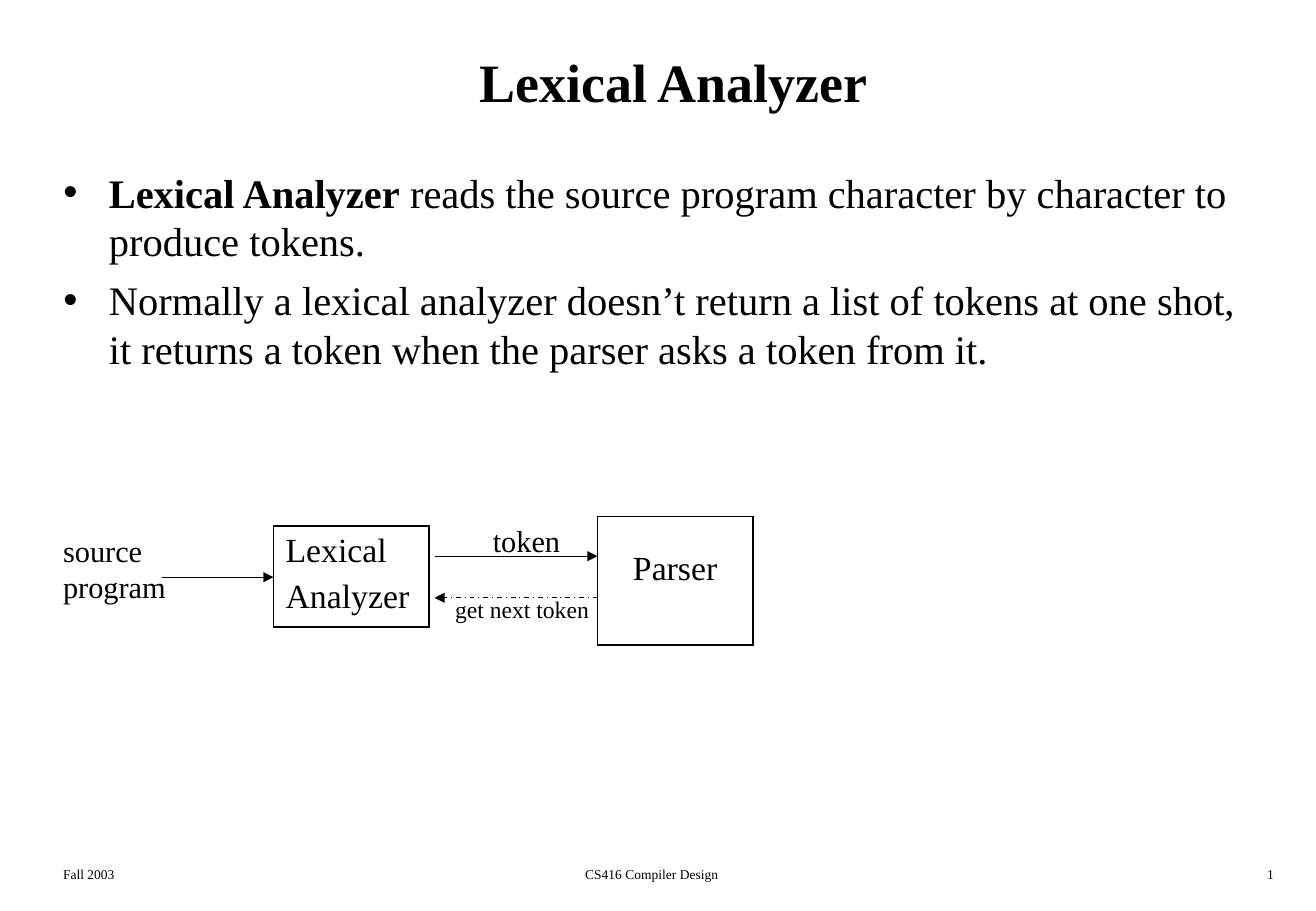
from dataclasses import dataclass

from lxml.etree import SubElement
from pptx import Presentation
from pptx.dml.color import RGBColor
from pptx.enum.dml import MSO_LINE
from pptx.enum.shapes import MSO_CONNECTOR
from pptx.enum.text import MSO_ANCHOR, MSO_AUTO_SIZE, PP_ALIGN
from pptx.oxml.ns import qn
from pptx.util import Cm, Pt


@dataclass(frozen=True)
class Theme:
    font: str = "Times New Roman"
    ink: RGBColor = RGBColor(0, 0, 0)
    title: int = 32
    body: int = 24
    block: int = 20
    label: int = 18
    request: int = 14
    footer: int = 8
    arrow_width: float = 0.75
    border_width: float = 1.08


theme = Theme()


def write(frame, paragraphs, size, align=PP_ALIGN.LEFT, gap=0):
    """Fill a text frame; each paragraph is a list of (text, bold) runs."""
    for index, runs in enumerate(paragraphs):
        para = frame.paragraphs[0] if index == 0 else frame.add_paragraph()
        para.alignment = align
        para.space_before = Pt(gap if index else 0)
        para.font.name = theme.font
        para.font.size = Pt(size)
        para.font.color.rgb = theme.ink
        for text, bold in runs:
            span = para.add_run()
            span.text = text
            span.font.bold = bold


deck = Presentation()
deck.slide_width, deck.slide_height = Cm(27.53), Cm(19.05)
page = deck.slides.add_slide(deck.slide_layouts[1])

# Title and bullets
title, body = page.placeholders
for holder, top, height in ((title, 0.43, 2.54), (body, 3.38, 14.17)):
    holder.left, holder.top = Cm(1.07), Cm(top)
    holder.width, holder.height = Cm(26.04), Cm(height)
    holder.text_frame.auto_size = MSO_AUTO_SIZE.NONE

title.text_frame.vertical_anchor = MSO_ANCHOR.MIDDLE
write(title.text_frame, [[("Lexical Analyzer", True)]], theme.title, PP_ALIGN.CENTER)

body.text_frame.margin_right = Cm(0.8)
bullets = [
    [("Lexical Analyzer", True),
     (" reads the source program character by character to produce tokens.", False)],
    [("Normally a lexical analyzer doesn’t return a list of tokens at one shot, "
      "it returns a token when the parser asks a token from it.", False)],
]
write(body.text_frame, bullets, theme.body, gap=6)

# Compiler stages: left, top, height, top margin, lines, alignment
stages = [
    (5.72, 11, 2.11, 0.13, ["Lexical", "Analyzer"], PP_ALIGN.LEFT),
    (12.5, 10.8, 2.69, 0.7, ["Parser"], PP_ALIGN.CENTER),
]
for left, top, height, margin, lines, align in stages:
    table = page.shapes.add_table(1, 1, Cm(left), Cm(top), Cm(3.25), Cm(height)).table
    table.first_row = table.horz_banding = False
    cell = table.cell(0, 0)
    cell.margin_top = Cm(margin)
    write(cell.text_frame, [[(line, False)] for line in lines], theme.block, align, gap=5)
    properties = cell._tc.get_or_add_tcPr()
    for side in ("a:lnL", "a:lnR", "a:lnT", "a:lnB"):
        border = SubElement(properties, qn(side), w=str(Pt(theme.border_width)))
        fill = SubElement(border, qn("a:solidFill"))
        SubElement(fill, qn("a:srgbClr"), val=str(theme.ink))
    cell.fill.background()

# Arrows: start, end, height on the page, dash
arrows = [
    (3.38, 5.72, 12.07, None),
    (9.09, 12.5, 11.63, None),
    (12.5, 9.09, 12.5, MSO_LINE.DASH_DOT),
]
for start, end, level, dash in arrows:
    arrow = page.shapes.add_connector(
        MSO_CONNECTOR.STRAIGHT, Cm(start), Cm(level), Cm(end), Cm(level))
    arrow.line.color.rgb = theme.ink
    arrow.line.width = Pt(theme.arrow_width)
    if dash:
        arrow.line.dash_style = dash
    SubElement(arrow.line._get_or_add_ln(), qn("a:tailEnd"), type="triangle")
    SubElement(arrow._element.spPr, qn("a:effectLst"))

# Labels and footer: left, top, width, height, lines, size, alignment
texts = [
    (1.07, 11, 2.9, 1.78, ["source", "program"], theme.label, PP_ALIGN.LEFT),
    (10.06, 10.8, 2.2, 1.02, ["token"], theme.label, PP_ALIGN.LEFT),
    (9.27, 12.32, 3.6, 0.86, ["get next token"], theme.request, PP_ALIGN.LEFT),
    (1.07, 17.98, 5.74, 0.64, ["Fall 2003"], theme.footer, PP_ALIGN.LEFT),
    (8.48, 17.98, 10.31, 0.64, ["CS416 Compiler Design"], theme.footer, PP_ALIGN.CENTER),
    (21.16, 17.98, 5.74, 0.64, ["1"], theme.footer, PP_ALIGN.RIGHT),
]
for left, top, width, height, lines, size, align in texts:
    box = page.shapes.add_textbox(Cm(left), Cm(top), Cm(width), Cm(height))
    box.text_frame.word_wrap = True
    write(box.text_frame, [[(line, False)] for line in lines], size, align)

deck.save("out.pptx")
